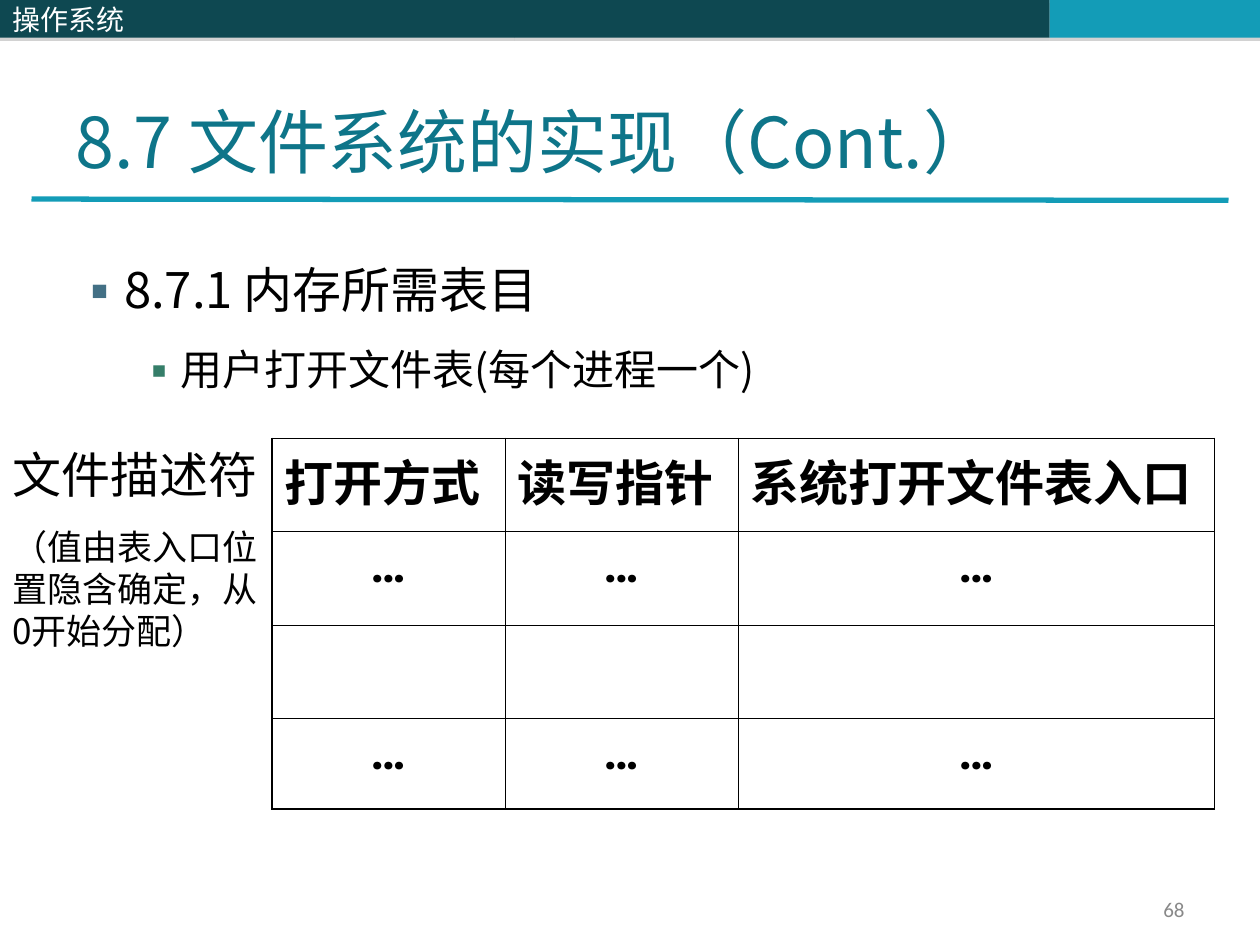
"""Build the slide on the per-process table of open files."""
from lxml.etree import SubElement
from pptx import Presentation
from pptx.dml.color import RGBColor
from pptx.enum.shapes import MSO_CONNECTOR, MSO_SHAPE
from pptx.enum.text import MSO_ANCHOR, PP_ALIGN
from pptx.oxml import parse_xml
from pptx.oxml.ns import nsdecls, qn
from pptx.util import Inches, Pt

FONT = "Noto Sans CJK SC"
BLACK = RGBColor(0x00, 0x00, 0x00)
WHITE = RGBColor(0xFF, 0xFF, 0xFF)
GRAY = RGBColor(0x89, 0x89, 0x89)
DARK_TEAL = RGBColor(0x0E, 0x48, 0x51)
TEAL = RGBColor(0x0E, 0x75, 0x89)
CYAN = RGBColor(0x13, 0x9C, 0xB7)
SLATE = RGBColor(0x43, 0x70, 0x85)
GREEN = RGBColor(0x35, 0x7E, 0x69)

WIDTH, HEIGHT = 10, 7.5
COURSE = "操作系统"
TITLE = "8.7 文件系统的实现（Cont.）"
PAGE = "68"
OUTLINE = [
    ("8.7.1 内存所需表目", 28, SLATE, 0.38, 0.38),
    ("用户打开文件表(每个进程一个)", 24, GREEN, 0.81, 0.31),
]
DESCRIPTOR = [
    ("文件描述符", 28, 0),
    ("（值由表入口位置隐含确定，从0开始分配）", 20, 12.5),
]
OPEN_FILES = [
    ["打开方式", "读写指针", "系统打开文件表入口"],
    ["…"] * 3,
    [""] * 3,
    ["…"] * 3,
]
BANDS = [(0, 4.08, DARK_TEAL), (4.08, 4.25, DARK_TEAL), (8.33, 1.67, CYAN)]
BAND_HEIGHT = 0.04 * HEIGHT
COLUMNS = [1.85, 1.85, 3.78]
ROWS = [0.74, 0.74, 0.74, 0.72]
TABLE_LEFT, TABLE_TOP = 2.16, 3.48
OUTER, INNER = 1.08, 0.45


def write(paragraph, text, size, color, font=FONT, bold=False):
    paragraph.text = text
    for run in paragraph.runs:
        run.font.size, run.font.bold, run.font.name = Pt(size), bold, font
        run.font.color.rgb = color
        SubElement(run.font._element, qn("a:ea"), typeface=FONT)


def add_box(slide, left, top, width, height, anchor=MSO_ANCHOR.TOP):
    frame = slide.shapes.add_textbox(*map(Inches, (left, top, width, height))).text_frame
    frame.word_wrap, frame.vertical_anchor = True, anchor
    return frame


def paragraphs_for(frame, entries):
    return [frame.paragraphs[0]] + [frame.add_paragraph() for _ in entries[1:]]


def add_band(slide, left, width, color):
    band = slide.shapes.add_shape(
        MSO_SHAPE.RECTANGLE, *map(Inches, (left, 0, width, BAND_HEIGHT)))
    band.fill.solid()
    band.fill.fore_color.rgb = color
    band.line.fill.background()
    band._element.spPr.append(parse_xml(
        f'<a:effectLst {nsdecls("a")}><a:outerShdw dist="{Pt(1.8)}" dir="5400000">'
        '<a:srgbClr val="808080"><a:alpha val="35000"/></a:srgbClr>'
        '</a:outerShdw></a:effectLst>'))
    return band


def add_header(slide):
    course_band = [add_band(slide, *band) for band in BANDS][0]
    frame = course_band.text_frame
    frame.vertical_anchor = MSO_ANCHOR.MIDDLE
    frame.paragraphs[0].alignment = PP_ALIGN.LEFT
    write(frame.paragraphs[0], COURSE, 16, WHITE)

    rule = slide.shapes.add_connector(
        MSO_CONNECTOR.STRAIGHT, *map(Inches, (0.25, 1.58, WIDTH - 0.25, 1.59)))
    rule.line.color.rgb, rule.line.width = CYAN, Pt(3)
    SubElement(rule._element.spPr, qn("a:effectLst"))

    title = add_box(slide, 0.5, 0.25, 8.52, 1.25, MSO_ANCHOR.BOTTOM)
    write(title.paragraphs[0], TITLE, 40, TEAL)


def add_outline(slide):
    frame = add_box(slide, 0.5, 1.78, 7.96, 0.99)
    for level, (paragraph, entry) in enumerate(zip(paragraphs_for(frame, OUTLINE), OUTLINE)):
        text, size, bullet_color, indent, hanging = entry
        properties = paragraph._p.get_or_add_pPr()
        properties.set("marL", str(Inches(indent)))
        properties.set("indent", str(-Inches(hanging)))
        SubElement(SubElement(properties, qn("a:buClr")), qn("a:srgbClr"), val=str(bullet_color))
        SubElement(properties, qn("a:buFont"), typeface=FONT)
        SubElement(properties, qn("a:buChar"), char="▪")
        paragraph.level, paragraph.line_spacing = level, 1.5
        write(paragraph, text, size, BLACK)


def add_descriptor(slide):
    frame = add_box(slide, 0, TABLE_TOP, TABLE_LEFT, 1.74)
    for paragraph, (text, size, gap) in zip(paragraphs_for(frame, DESCRIPTOR), DESCRIPTOR):
        if gap:
            paragraph.space_before = Pt(gap)
        write(paragraph, text, size, BLACK)


def set_borders(cell, edges):
    properties = cell._tc.get_or_add_tcPr()
    for place, (side, outside) in enumerate(edges):
        properties.insert(place, parse_xml(
            f'<a:ln{side} {nsdecls("a")} w="{Pt(OUTER if outside else INNER)}">'
            f'<a:solidFill><a:srgbClr val="{BLACK}"/></a:solidFill></a:ln{side}>'))


def add_open_files(slide):
    table = slide.shapes.add_table(len(ROWS), len(COLUMNS), *map(
        Inches, (TABLE_LEFT, TABLE_TOP, sum(COLUMNS), sum(ROWS)))).table
    table.first_row = table.horz_banding = False
    for column, width in zip(table.columns, COLUMNS):
        column.width = Inches(width)
    for r, (row, height) in enumerate(zip(table.rows, ROWS)):
        row.height = Inches(height)
        for c, cell in enumerate(row.cells):
            cell.fill.background()
            set_borders(cell, [("L", c == 0), ("R", c == len(COLUMNS) - 1),
                               ("T", r == 0), ("B", r == len(ROWS) - 1)])
            paragraph = cell.text_frame.paragraphs[0]
            paragraph.alignment = PP_ALIGN.CENTER if r else PP_ALIGN.LEFT
            write(paragraph, OPEN_FILES[r][c], 28, BLACK, "Karla", True)


def main():
    deck = Presentation()
    deck.slide_width, deck.slide_height = Inches(WIDTH), Inches(HEIGHT)
    slide = deck.slides.add_slide(deck.slide_layouts[6])
    add_header(slide)
    add_outline(slide)
    add_open_files(slide)
    add_descriptor(slide)
    page = add_box(slide, 7.17, 7.08, 2.33, 0.27, MSO_ANCHOR.MIDDLE).paragraphs[0]
    page.alignment = PP_ALIGN.RIGHT
    write(page, PAGE, 12, GRAY, "Calibri")
    deck.save("out.pptx")


if __name__ == "__main__":
    main()
